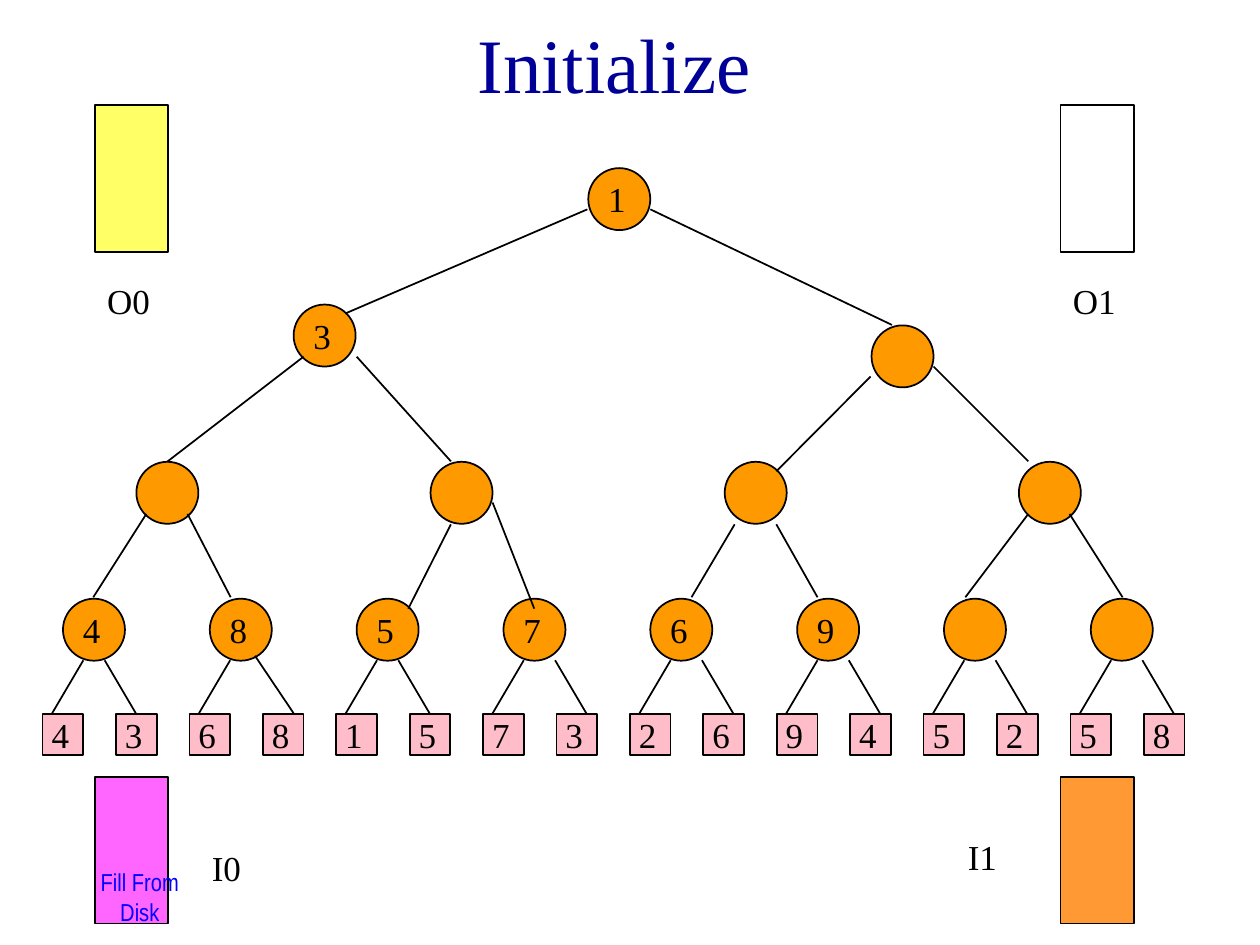
"""Build the slide showing how a two-buffer merge tree is initialized."""
from dataclasses import dataclass

from lxml import etree
from pptx import Presentation
from pptx.dml.color import RGBColor
from pptx.enum.shapes import MSO_CONNECTOR, MSO_SHAPE
from pptx.enum.text import MSO_ANCHOR, PP_ALIGN
from pptx.oxml.ns import qn
from pptx.util import Cm, Pt

RECTANGLE, OVAL = MSO_SHAPE.RECTANGLE, MSO_SHAPE.OVAL
STRAIGHT = MSO_CONNECTOR.STRAIGHT
TOP, MIDDLE = MSO_ANCHOR.TOP, MSO_ANCHOR.MIDDLE
LEFT, CENTER = PP_ALIGN.LEFT, PP_ALIGN.CENTER


@dataclass(frozen=True)
class Theme:
    ink: str = "000000"
    title: str = "000099"
    note: str = "0000FF"
    leaf: str = "FFBDCA"
    node: str = "FF9900"
    output_0: str = "FFFF66"
    output_1: str = "FFFFFF"
    input_0: str = "FF66FF"
    input_1: str = "FF9933"
    font: str = "Times New Roman"
    note_font: str = "Arial Narrow"
    title_size: int = 44
    label_size: int = 20
    note_size: int = 14
    line_width: int = 1


theme = Theme()


def add_box(shapes, kind, left, top, width, height, fill):
    shape = shapes.add_shape(kind, Cm(left), Cm(top), Cm(width), Cm(height))
    shape.shadow.inherit = False
    shape.fill.solid()
    shape.fill.fore_color.rgb = RGBColor.from_string(fill)
    shape.line.color.rgb = RGBColor.from_string(theme.ink)
    shape.line.width = Pt(theme.line_width)


def add_text(shapes, text, left, top, width, height, size=theme.label_size,
             color=theme.ink, font=theme.font, align=LEFT, anchor=TOP, wrap=False):
    frame = shapes.add_textbox(Cm(left), Cm(top), Cm(width), Cm(height)).text_frame
    frame.word_wrap = wrap
    frame.vertical_anchor = anchor
    paragraph = frame.paragraphs[0]
    paragraph.alignment = align
    run = paragraph.add_run()
    run.text = text
    run.font.name = font
    run.font.size = Pt(size)
    run.font.color.rgb = RGBColor.from_string(color)


presentation = Presentation()
presentation.slide_width, presentation.slide_height = Cm(25.4), Cm(19.05)
slide = presentation.slides.add_slide(presentation.slide_layouts[6])

LEAF_PITCH, LEAF_SIZE, LEAF_TOP = 1.48, 0.82, 14.4
NODE_SIZE = 1.25
PARENT_PITCH = 2 * LEAF_PITCH

for index, key in enumerate("4368157326945258"):
    left = 0.86 + index * LEAF_PITCH
    add_box(slide.shapes, RECTANGLE, left, LEAF_TOP, LEAF_SIZE, LEAF_SIZE, theme.leaf)
    add_text(slide.shapes, key, left - 0.07, LEAF_TOP - 0.15, 0.87, 1.08)

nodes = [(11.86, 3.39, "1"), (5.92, 6.14, "3"), (17.57, 6.56, "")]
nodes += [(2.75 + index * 5.93, 9.31, "") for index in range(4)]
nodes += [(1.27 + index * PARENT_PITCH, 12.07, key)
          for index, key in enumerate(["4", "8", "5", "7", "6", "9", "", ""])]
for left, top, key in nodes:
    add_box(slide.shapes, OVAL, left, top, NODE_SIZE, NODE_SIZE, theme.node)
    if key:
        add_text(slide.shapes, key, left + 0.15, top + 0.07, 0.87, 1.08)

edges = [
    (11.84, 4.22, 6.96, 6.32), (13.11, 4.22, 17.98, 6.55),
    (6.12, 7.19, 3.38, 9.3), (7.19, 7.19, 9.09, 9.3),
    (17.55, 7.59, 15.65, 9.5), (18.82, 7.39, 20.73, 9.3),
    (2.95, 10.36, 1.88, 12.04), (3.78, 10.36, 4.65, 12.04),
    (9.09, 10.57, 8.23, 12.27), (9.93, 10.13, 10.77, 12.27),
    (14.81, 10.57, 13.94, 12.04), (15.65, 10.57, 16.48, 12.04),
    (20.73, 10.36, 19.46, 12.04), (21.56, 10.36, 22.63, 12.04),
    (5.14, 13.22, 5.92, 14.38),
]
for index in range(8):
    offset = index * PARENT_PITCH
    edges.append((1.68 + offset, 13.31, 1.05 + offset, 14.38))
    if index != 1:
        start = offset + (2.31 if index > 2 else 2.11)
        edges.append((start, 13.31, start + 0.63, 14.38))
for edge in edges:
    connector = slide.shapes.add_connector(STRAIGHT, *map(Cm, edge))
    connector.line.color.rgb = RGBColor.from_string(theme.ink)
    connector.line.width = Pt(theme.line_width)
    etree.SubElement(connector.element.spPr, qn("a:effectLst"))

add_text(slide.shapes, "Initialize", 0, 0, 24.77, 2.54, theme.title_size,
         theme.title, align=CENTER, anchor=MIDDLE, wrap=True)

buffers = [
    ("O0", 1.91, 2.12, theme.output_0, 1.91, 5.5),
    ("O1", 21.38, 2.12, theme.output_1, 21.38, 5.5),
    ("I0", 1.91, 15.66, theme.input_0, 4.02, 16.93),
    ("I1", 21.38, 15.66, theme.input_1, 19.26, 16.72),
]
for name, left, top, fill, label_left, label_top in buffers:
    group = slide.shapes.add_group_shape()
    add_box(group.shapes, RECTANGLE, left, top, 1.48, 2.96, fill)
    add_text(group.shapes, name, label_left, label_top, 1.48, 1.08)

add_text(slide.shapes, "Fill From Disk", 1.69, 17.36, 2.26, 1.06, theme.note_size,
         theme.note, theme.note_font, CENTER, wrap=True)

presentation.save("out.pptx")
